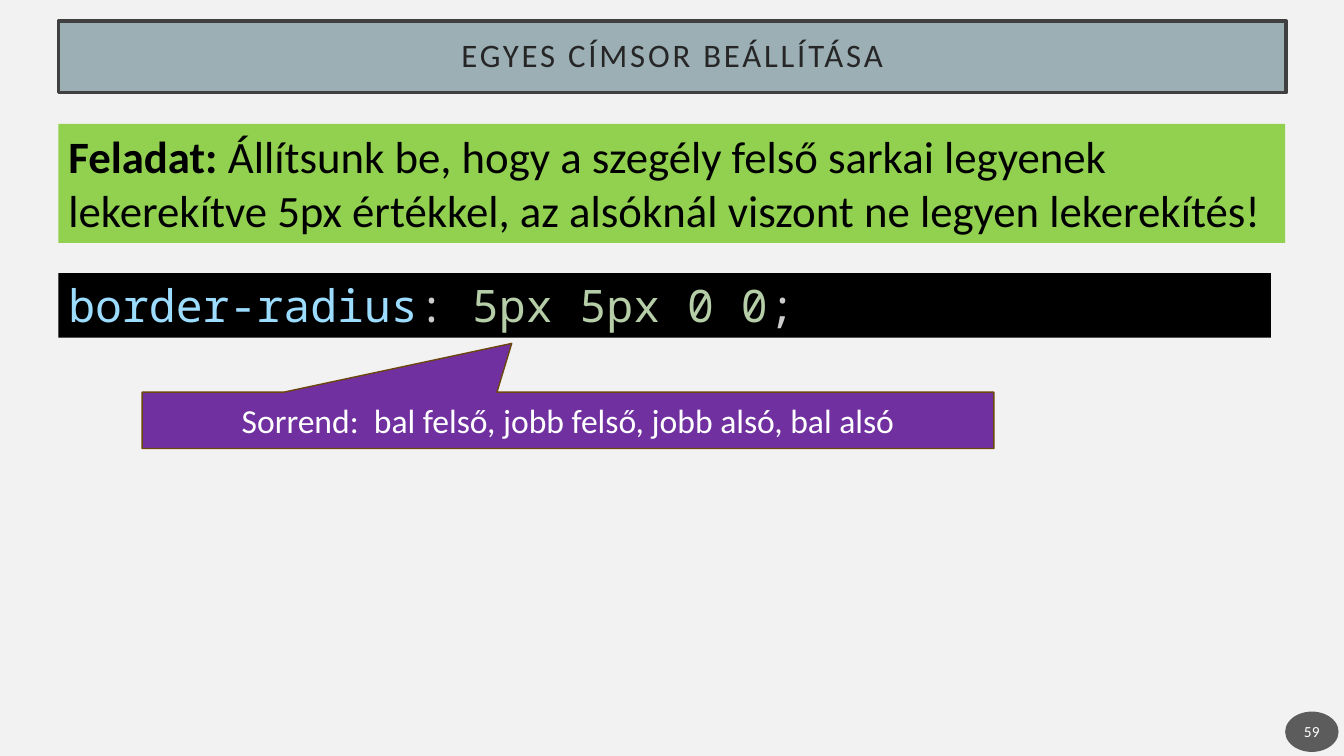
from dataclasses import dataclass
from typing import Any

from lxml.etree import SubElement
from pptx import Presentation
from pptx.dml.color import RGBColor
from pptx.enum.shapes import MSO_SHAPE
from pptx.enum.text import MSO_ANCHOR, MSO_AUTO_SIZE, PP_ALIGN
from pptx.oxml.ns import qn
from pptx.util import Pt


@dataclass(frozen=True)
class Theme:
    background: str = "F2F2F2"
    title_fill: str = "9BAFB5"
    title_line: str = "404040"
    title_text: str = "262626"
    badge: str = "1D1D1D"
    task: str = "92D050"
    callout: str = "7030A0"
    callout_line: str = "6C470D"
    black: str = "000000"
    white: str = "FFFFFF"
    code_property: str = "9CDCFE"
    code_mark: str = "CCCCCC"
    code_value: str = "B5CEA8"
    text_font: str = "Calibri"
    code_font: str = "Noto Sans Mono"
    title_size: float = 23.4
    large_size: float = 32
    callout_size: float = 24
    badge_size: float = 11


THEME = Theme()


@dataclass(frozen=True)
class Phrase:
    text: str
    color: str
    bold: bool = False


@dataclass(frozen=True)
class Panel:
    """A filled box with one paragraph; lengths are in points."""
    left: float
    top: float
    width: float
    height: float
    fill: str
    phrases: tuple[Phrase, ...]
    size: float
    font: str = THEME.text_font
    outline: tuple[str, float] | None = None
    preset: MSO_SHAPE = MSO_SHAPE.RECTANGLE
    adjustments: tuple[float, ...] = ()
    centered: bool = True
    margins: tuple[float, float] = (7.2, 3.6)
    line_spacing: float = 1.0
    letter_spacing: int = 0
    opacity: int = 100


LEFT = 41.76

TITLE = Panel(LEFT, 15.12, 876.96, 51.12, THEME.title_fill,
              (Phrase("EGYES CÍMSOR BEÁLLÍTÁSA", THEME.title_text),),
              THEME.title_size, outline=(THEME.title_line, 2.5),
              margins=(14.4, 14.4), line_spacing=0.9, letter_spacing=2)

PANELS = (
    Panel(918, 508.32, 38.16, 28.8, THEME.badge,
          (Phrase("59", THEME.white),), THEME.badge_size,
          preset=MSO_SHAPE.OVAL, margins=(1.44, 3.6), opacity=70),
    Panel(LEFT, 88.56, 876.24, 84.96, THEME.task,
          (Phrase("Feladat: ", THEME.black, bold=True),
           Phrase("Állítsunk be, hogy a szegély felső sarkai legyenek lekerekítve "
                  "5px értékkel, az alsóknál viszont ne legyen lekerekítés!",
                  THEME.black)),
          THEME.large_size, centered=False),
    Panel(LEFT, 195.12, 866.16, 46.08, THEME.black,
          (Phrase("border-radius", THEME.code_property),
           Phrase(": ", THEME.code_mark),
           Phrase("5px 5px 0 0", THEME.code_value),
           Phrase(";", THEME.code_mark)),
          THEME.large_size, font=THEME.code_font, centered=False),
    Panel(101.52, 280.08, 608.4, 40.32, THEME.callout,
          (Phrase("Sorrend:  bal felső, jobb felső, jobb alsó, bal alsó", THEME.white),),
          THEME.callout_size, outline=(THEME.callout_line, 1),
          preset=MSO_SHAPE.RECTANGULAR_CALLOUT, adjustments=(-0.066, -1.363)),
)


def set_values(target: Any, values: dict[str, Any]) -> None:
    for name, value in values.items():
        setattr(target, name, value)


def paint(shape: Any, panel: Panel) -> None:
    shape.fill.solid()
    shape.fill.fore_color.rgb = RGBColor.from_string(panel.fill)
    if panel.opacity < 100:
        color = shape.element.spPr.find(qn("a:solidFill"))[0]
        SubElement(color, qn("a:alpha")).set("val", str(panel.opacity * 1000))
    if panel.outline:
        line_color, line_width = panel.outline
        shape.line.color.rgb = RGBColor.from_string(line_color)
        shape.line.width = Pt(line_width)
    else:
        shape.line.fill.background()


def write(shape: Any, panel: Panel) -> None:
    horizontal, vertical = map(Pt, panel.margins)
    frame = shape.text_frame
    set_values(frame, {
        "word_wrap": True,
        "auto_size": MSO_AUTO_SIZE.NONE,
        "vertical_anchor": MSO_ANCHOR.MIDDLE if panel.centered else MSO_ANCHOR.TOP,
        "margin_left": horizontal, "margin_right": horizontal,
        "margin_top": vertical, "margin_bottom": vertical,
    })
    paragraph = frame.paragraphs[0]
    set_values(paragraph, {
        "alignment": PP_ALIGN.CENTER if panel.centered else PP_ALIGN.LEFT,
        "line_spacing": panel.line_spacing,
    })
    for phrase in panel.phrases:
        run = paragraph.add_run()
        run.text = phrase.text
        set_values(run.font, {"name": panel.font, "size": Pt(panel.size),
                              "bold": phrase.bold})
        run.font.color.rgb = RGBColor.from_string(phrase.color)
        if panel.letter_spacing:
            run._r.get_or_add_rPr().set("spc", str(panel.letter_spacing * 100))


def format_panel(shape: Any, panel: Panel) -> None:
    set_values(shape, {name: Pt(getattr(panel, name))
                       for name in ("left", "top", "width", "height")})
    paint(shape, panel)
    write(shape, panel)


def add_panel(slide: Any, panel: Panel) -> None:
    shape = slide.shapes.add_shape(panel.preset, Pt(panel.left), Pt(panel.top),
                                   Pt(panel.width), Pt(panel.height))
    shape.shadow.inherit = False
    for index, value in enumerate(panel.adjustments):
        shape.adjustments[index] = value
    format_panel(shape, panel)


def main() -> None:
    presentation = Presentation()
    set_values(presentation, {"slide_width": Pt(960), "slide_height": Pt(540)})
    title_only = presentation.slide_layouts.get_by_name("Title Only")
    slide = presentation.slides.add_slide(title_only)
    slide.background.fill.solid()
    slide.background.fill.fore_color.rgb = RGBColor.from_string(THEME.background)
    format_panel(slide.shapes.title, TITLE)
    for panel in PANELS:
        add_panel(slide, panel)
    presentation.save("out.pptx")


if __name__ == "__main__":
    main()
